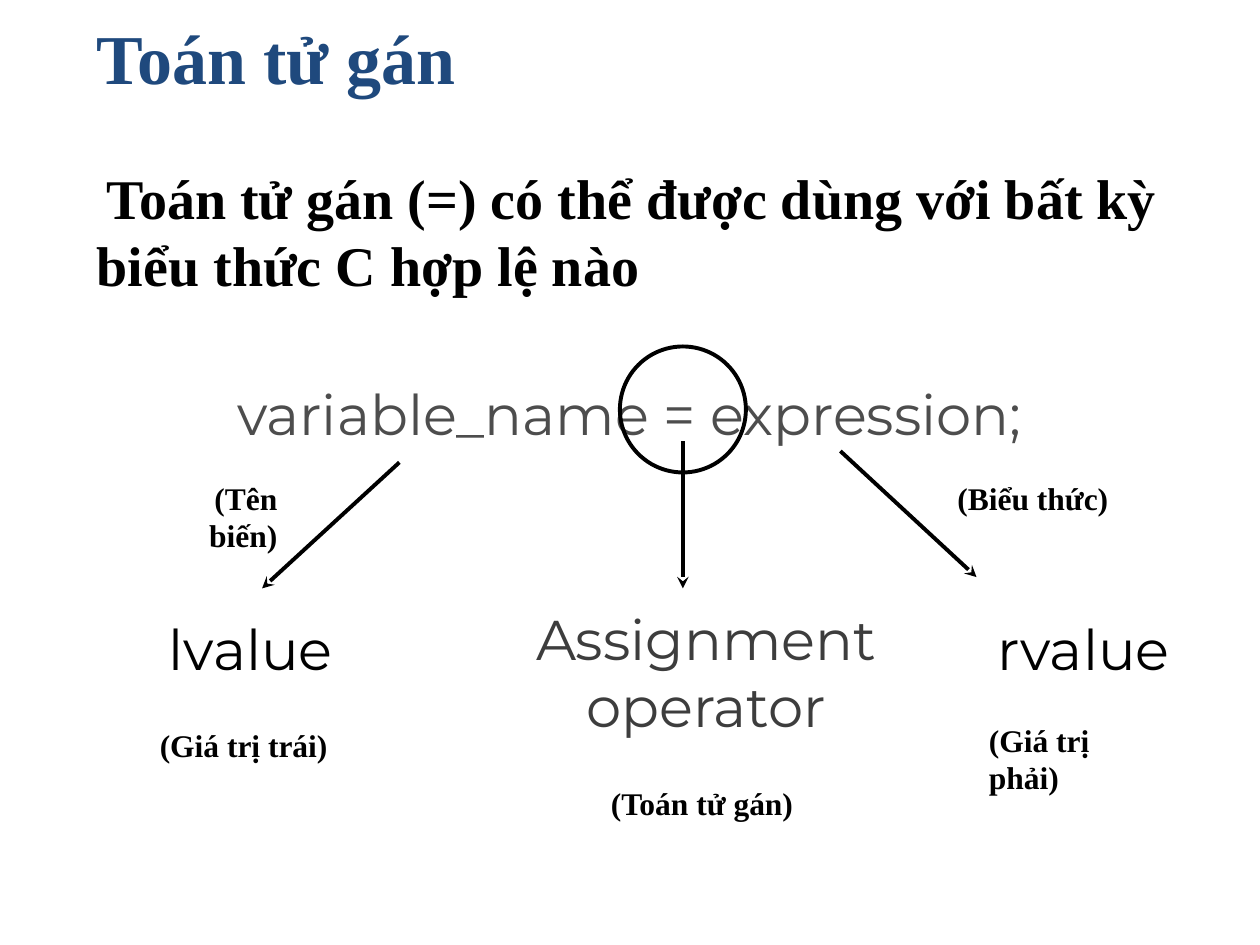
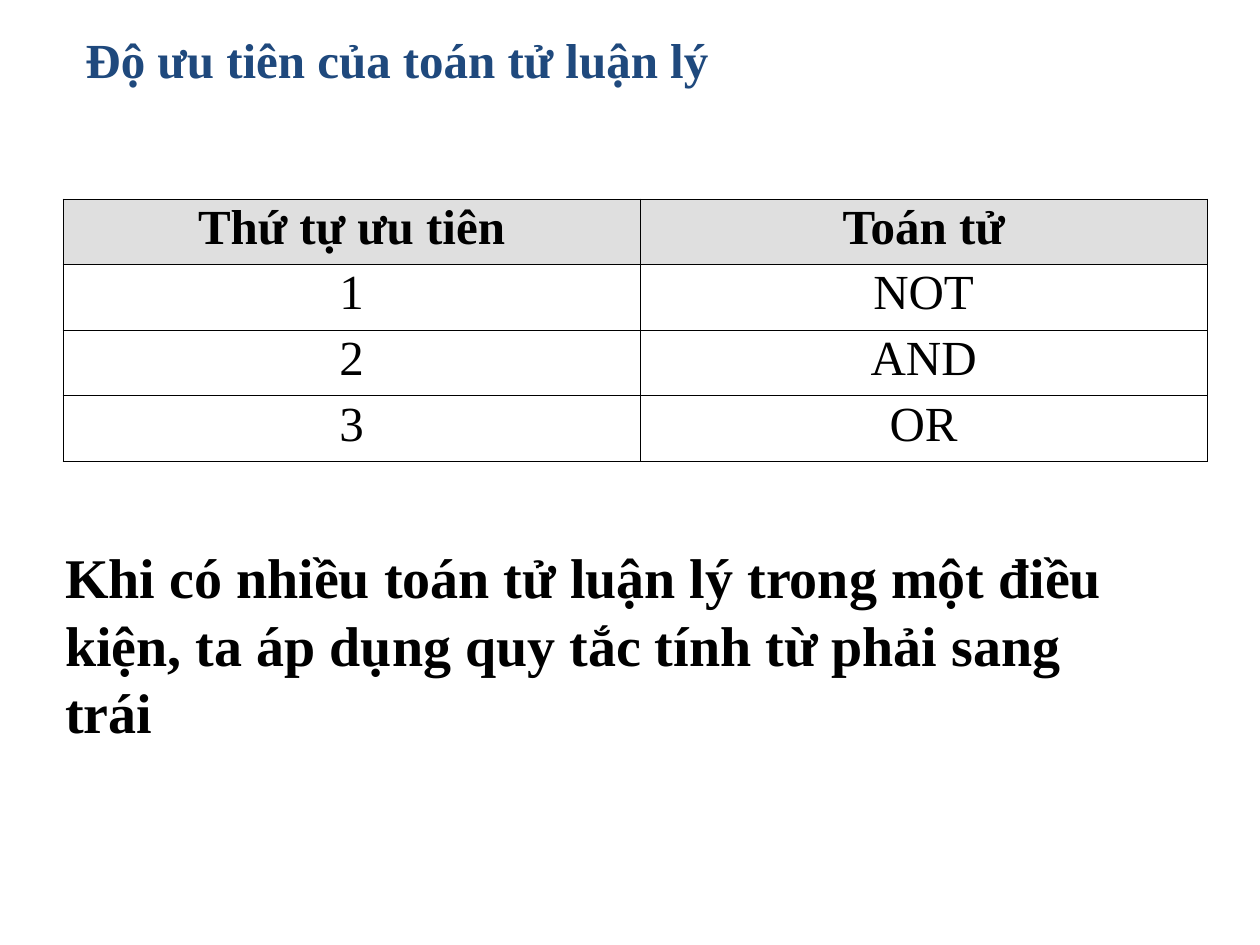
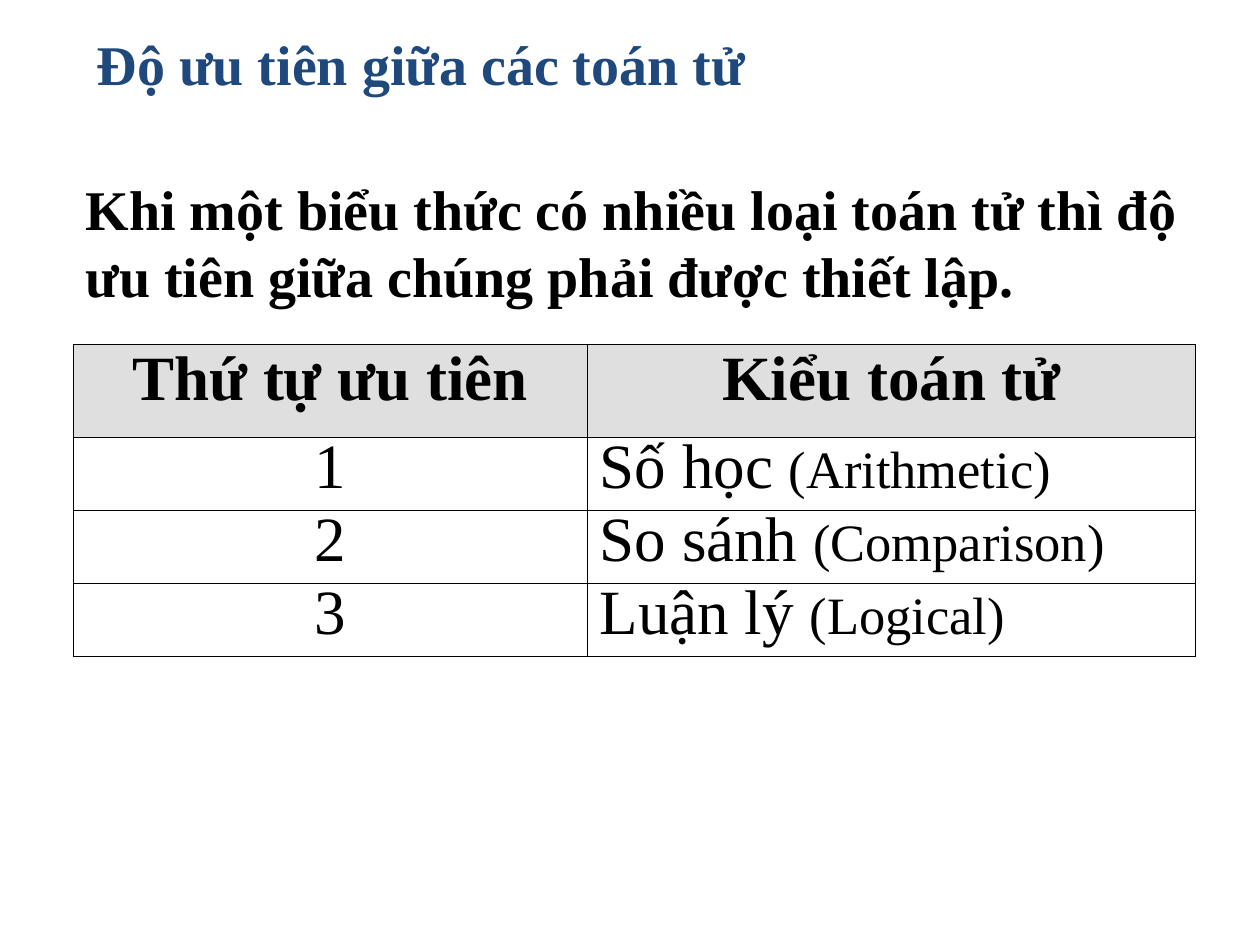
from lxml import etree
from pptx import Presentation
from pptx.dml.color import RGBColor
from pptx.enum.shapes import MSO_CONNECTOR, MSO_SHAPE
from pptx.enum.text import MSO_ANCHOR, PP_ALIGN
from pptx.oxml.ns import qn
from pptx.util import Emu, Pt

PX = 9144  # 100 px to the inch
LEFT, CENTER, RIGHT = PP_ALIGN.LEFT, PP_ALIGN.CENTER, PP_ALIGN.RIGHT
TOP, MIDDLE, BOTTOM = MSO_ANCHOR.TOP, MSO_ANCHOR.MIDDLE, MSO_ANCHOR.BOTTOM
STRAIGHT, OVAL = MSO_CONNECTOR.STRAIGHT, MSO_SHAPE.OVAL

SERIF, SANS = "Times New Roman", "Montserrat"
BLACK, NAVY, HEADER_GREY = "000000", "1F497D", "DFDFDF"
LINE_WIDTH = Pt(2.25)
BORDER_WIDTH = Pt(0.45)


def px(*lengths):
    return [Emu(length * PX) for length in lengths]


def color(hex_code):
    return RGBColor.from_string(hex_code)


def set_font(span, size, font=SERIF, ink=BLACK, bold=False):
    span.font.name = font
    span.font.size = Pt(size)
    span.font.bold = bold
    span.font.color.rgb = color(ink)


class Slides:
    def __init__(self):
        self.deck = Presentation()
        self.deck.slide_width, self.deck.slide_height = px(1000, 750)
        self.page = None

    def new_page(self):
        self.page = self.deck.slides.add_slide(self.deck.slide_layouts[6])

    def text(self, place, words, size, align=LEFT, anchor=TOP, wrap=True,
             indent=0, **style):
        frame = self.page.shapes.add_textbox(*px(*place)).text_frame
        frame.word_wrap = wrap
        frame.vertical_anchor = anchor
        frame.text = words
        for para in frame.paragraphs:
            para.alignment = align
            if indent:
                para._p.get_or_add_pPr().set("indent", str(indent * PX))
            for span in para.runs:
                set_font(span, size, **style)

    def title(self, place, words, size):
        self.text(place, words, size, anchor=BOTTOM, ink=NAVY, bold=True)

    def body(self, place, words, **layout):
        self.text(place, words, 32, bold=True, **layout)

    def code(self, place, words, ink=BLACK):
        self.text(place, words, 32, CENTER, wrap=False, font=SANS, ink=ink)

    def label(self, place, words, align=LEFT):
        self.text(place, words, 18, align, wrap=False, bold=True)

    def ring(self, place):
        ring = self.page.shapes.add_shape(OVAL, *px(*place))
        ring.shadow.inherit = False
        ring.fill.background()
        ring.line.color.rgb = color(BLACK)
        ring.line.width = LINE_WIDTH

    def arrow(self, *ends):
        arrow = self.page.shapes.add_connector(STRAIGHT, *px(*ends))
        arrow.line.color.rgb = color(BLACK)
        arrow.line.width = LINE_WIDTH
        properties = arrow._element.spPr
        outline = properties.find(qn("a:ln"))
        etree.SubElement(outline, qn("a:tailEnd"), type="stealth")
        etree.SubElement(properties, qn("a:effectLst"))

    def border(self, cell):
        properties = cell._tc.get_or_add_tcPr()
        for position, side in enumerate(("lnL", "lnR", "lnT", "lnB")):
            edge = etree.Element(qn(f"a:{side}"), w=str(BORDER_WIDTH))
            fill = etree.SubElement(edge, qn("a:solidFill"))
            etree.SubElement(fill, qn("a:srgbClr"), val=BLACK)
            properties.insert(position, edge)

    def table(self, corner, widths, heights, rows, size, body_spacing,
              note_size=None):
        """A cell is a string, or a pair of a name and a smaller note."""
        table = self.page.shapes.add_table(
            len(rows), len(widths),
            *px(*corner, sum(widths), sum(heights))).table
        table.first_row = table.horz_banding = False
        for column, width in zip(table.columns, px(*widths)):
            column.width = width
        for row, height in zip(table.rows, px(*heights)):
            row.height = height
        for row_number, row in enumerate(rows):
            header = row_number == 0
            for column_number, content in enumerate(row):
                cell = table.cell(row_number, column_number)
                if header:
                    cell.fill.solid()
                    cell.fill.fore_color.rgb = color(HEADER_GREY)
                else:
                    cell.fill.background()
                self.border(cell)
                para = cell.text_frame.paragraphs[0]
                para.line_spacing = 0.9 if header else body_spacing
                if isinstance(content, tuple):
                    name, note = content
                    para.text = name
                    span = para.add_run()
                    span.text = note
                    set_font(span, note_size)
                else:
                    para.text = content
                    para.alignment = CENTER
                set_font(para.runs[0], size, bold=header)


def assignment_page(slides):
    slides.new_page()
    slides.title((67, -7, 775, 90), "Toán tử gán", 40)

    # Statement with its three parts
    slides.code((112, 296, 776, 71), "variable_name = expression;", "4D4D4D")
    slides.ring((492, 275, 100, 100))
    for ends in ((317, 367, 208, 467), (667, 358, 775, 458),
                 (542, 350, 542, 467)):
        slides.arrow(*ends)
    slides.code((117, 483, 164, 71), "lvalue")
    slides.code((778, 483, 164, 71), "rvalue")
    slides.code((400, 475, 321, 142), "Assignment\noperator", "3D3D3D")

    slides.body((67, 125, 875, 117),
                "Toán tử gán (=) có thể được dùng với bất kỳ "
                "biểu thức C hợp lệ nào", indent=8)

    # Vietnamese names of the parts
    slides.label((117, 571, 153, 40), "(Giá trị trái)")
    slides.label((775, 567, 161, 40), "(Giá trị phải)")
    slides.label((475, 617, 167, 40), "(Toán tử gán)")
    slides.label((100, 375, 130, 40), "(Tên biến)", RIGHT)
    slides.label((750, 375, 140, 40), "(Biểu thức)")


def logical_page(slides):
    slides.new_page()
    slides.title((58, -8, 817, 83), "Độ ưu tiên của toán tử luận lý", 28)
    slides.table((50, 158), (458, 450), [52] * 4,
                 [("Thứ tự ưu tiên", "Toán tử"),
                  ("1", "NOT"), ("2", "AND"), ("3", "OR")],
                 size=28, body_spacing=0.9)
    slides.body((42, 426, 883, 170),
                "Khi có nhiều toán tử luận lý trong một điều kiện, "
                "ta áp dụng quy tắc tính từ phải sang trái", anchor=MIDDLE)


def precedence_page(slides):
    slides.new_page()
    slides.table((58, 273), (408, 483), [74] + [58] * 3,
                 [("Thứ tự ưu tiên", "Kiểu toán tử"),
                  ("1", ("Số học ", "(Arithmetic)")),
                  ("2", ("So sánh ", "(Comparison)")),
                  ("3", ("Luận lý ", "(Logical)"))],
                 size=36, body_spacing=0.8, note_size=30)
    slides.body((58, 133, 908, 117),
                "Khi một biểu thức có nhiều loại toán tử thì độ ưu tiên "
                "giữa chúng phải được thiết lập.", anchor=MIDDLE)
    slides.title((67, -8, 833, 90), "Độ ưu tiên giữa các toán tử", 32)


def main():
    slides = Slides()
    assignment_page(slides)
    logical_page(slides)
    precedence_page(slides)
    slides.deck.save("out.pptx")


if __name__ == "__main__":
    main()
